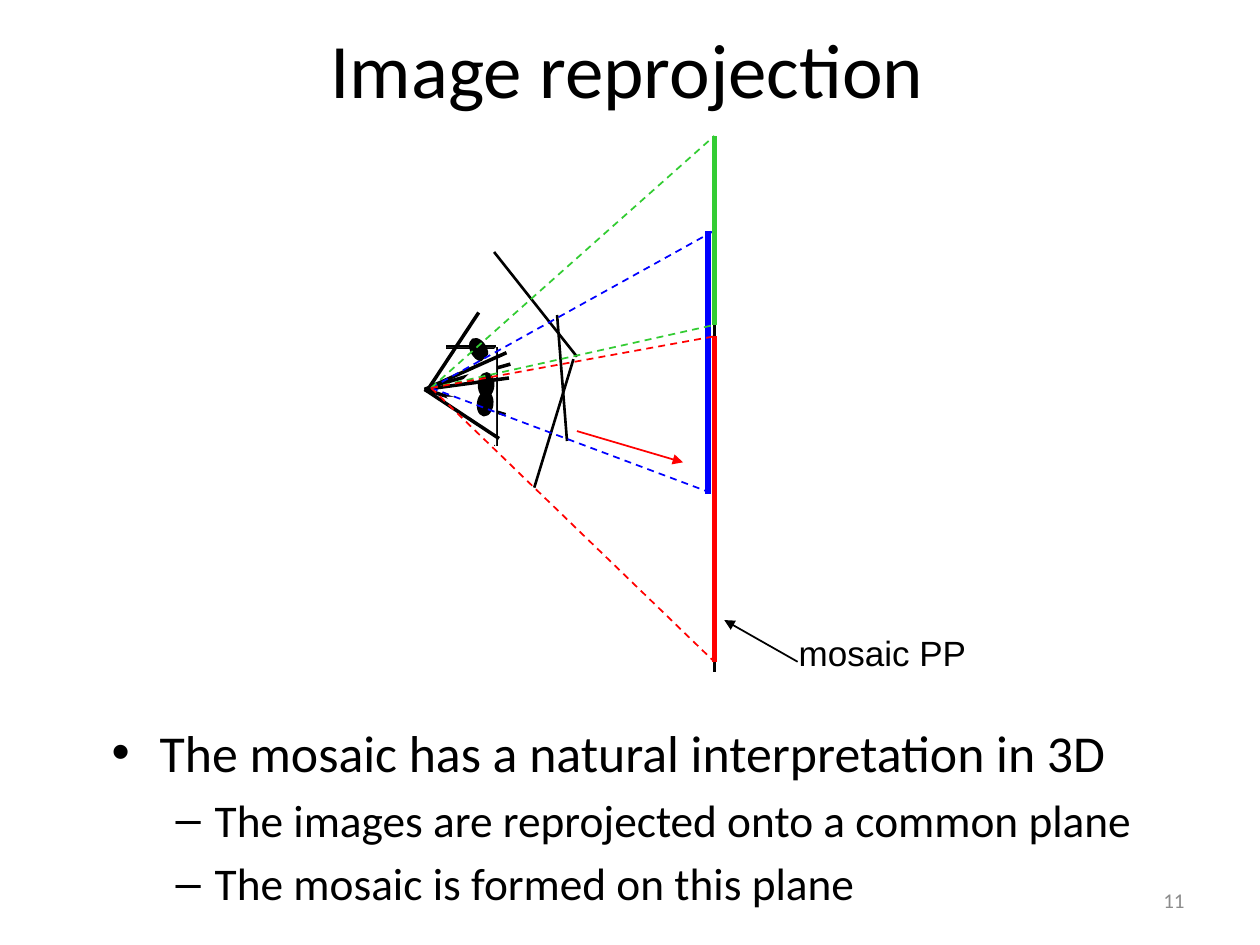
from dataclasses import dataclass

from lxml.etree import SubElement
from pptx import Presentation
from pptx.dml.color import RGBColor as RGB
from pptx.enum.dml import MSO_LINE as Dash
from pptx.enum.shapes import MSO_CONNECTOR as Connector, MSO_SHAPE as Shape
from pptx.enum.text import MSO_ANCHOR as Anchor, PP_ALIGN as Align
from pptx.oxml.ns import qn
from pptx.util import Cm, Pt


@dataclass(frozen=True)
class Theme:
    black: RGB = RGB(0, 0, 0)
    white: RGB = RGB(255, 255, 255)
    gray: RGB = RGB(0x8C, 0x8C, 0x8C)
    blue: RGB = RGB(0, 0, 255)
    green: RGB = RGB(0x33, 0xCC, 0x33)
    red: RGB = RGB(255, 0, 0)
    font: str = "Calibri"
    label_font: str = "Arial"
    title_size: float = 44
    body_sizes: tuple = (29.6, 25.9)
    label_size: float = 20
    number_size: float = 12
    thin: float = 1
    medium: float = 1.5
    heavy: float = 2
    band: float = 3


THEME = Theme()

# All positions below are in centimetres.
TITLE = "Image reprojection"
POINTS = [
    (0, "The mosaic has a natural interpretation in 3D"),
    (1, "The images are reprojected onto a common plane"),
    (1, "The mosaic is formed on this plane"),
]
BULLETS = [("•", 1.07, 0.97), ("–", 2.18, 0.79)]  # sign, margin, hang
LABEL = "mosaic PP"
PAGE_NUMBER = "11"

PLANE_X, PLANE_TOP, PLANE_BOTTOM = 14.4, 2.74, 13.54
VIEWPOINT = (8.69, 7.82)
LABEL_ARROW = ((16.08, 13.34), (14.6, 12.5))
PROJECTION_ARROW = ((11.63, 8.69), (13.77, 9.32))
PUPIL_WIDTH, PUPIL_HEIGHT = 0.3, 0.48

# The lens is a Bezier curve: start, two controls, end.
CAMERAS = [
    dict(image=((9.96, 5.08), (11.63, 7.19)), apex=(8.66, 7.8), wedge=False,
         lens=((9.4, 6.71), (9.7, 6.78), (9.88, 7.11), (9.8, 7.47)),
         hub=(9.25, 7.34), edges=((9.65, 6.3), (10.29, 7.34)),
         pupil=(9.65, 7.05), turn=330),
    dict(image=((11.23, 6.35), (11.43, 8.89)), apex=(8.56, 7.85), wedge=True,
         lens=((9.78, 7.34), (9.98, 7.57), (9.96, 7.95), (9.7, 8.2)),
         hub=(9.3, 7.8), edges=((10.21, 7.11), (10.19, 8.36)),
         pupil=(9.8, 7.76), turn=3),
    dict(image=((10.77, 9.83), (11.56, 7.24)), apex=(8.56, 7.85), wedge=True,
         lens=((9.68, 8.56), (9.93, 8.38), (9.96, 7.98), (9.75, 7.7)),
         hub=(9.27, 8.03), edges=((10.06, 8.84), (10.26, 7.62)),
         pupil=(9.78, 8.14), turn=187),
]
# Colour, top and bottom on the plane, x of the band
PROJECTIONS = [
    (THEME.blue, 4.65, 9.96, 14.27),
    (THEME.green, PLANE_TOP, 6.55, PLANE_X),
    (THEME.red, 6.78, 13.34, PLANE_X),
]


def add_line(slide, start, end, color, width, dashed=False, arrow=False):
    line = slide.shapes.add_connector(
        Connector.STRAIGHT, *(Cm(v) for v in (*start, *end)))
    line.line.color.rgb = color
    line.line.width = Pt(width)
    if dashed:
        line.line.dash_style = Dash.DASH
    if arrow:
        SubElement(line.line._get_or_add_ln(), qn("a:tailEnd"), type="triangle")
    SubElement(line._element.spPr, qn("a:effectLst"))


def add_outline(slide, points, fill=None, stroke=None):
    """Draw a filled polygon, or an open curve when only a stroke is given."""
    builder = slide.shapes.build_freeform(*points[0], scale=Cm(1))
    builder.add_line_segments(points[1:], close=fill is not None)
    outline = builder.convert_to_shape()
    outline.shadow.inherit = False
    if fill is None:
        outline.fill.background()
        outline.line.color.rgb = stroke
        outline.line.width = Pt(THEME.heavy)
    else:
        outline.fill.solid()
        outline.fill.fore_color.rgb = fill
        outline.line.fill.background()


def curve_points(start, control_1, control_2, end, steps=12):
    points = []
    for step in range(steps + 1):
        t = step / steps
        weights = ((1 - t) ** 3, 3 * t * (1 - t) ** 2, 3 * t * t * (1 - t), t ** 3)
        corners = (start, control_1, control_2, end)
        points.append(tuple(sum(w * c[axis] for w, c in zip(weights, corners))
                            for axis in (0, 1)))
    return points


def add_camera(slide, image, apex, wedge, lens, hub, edges, pupil, turn):
    add_line(slide, *image, THEME.black, THEME.medium)
    arc = curve_points(*lens)
    if wedge:
        add_outline(slide, [apex, *arc], fill=THEME.white)
    add_outline(slide, arc, stroke=THEME.black)
    add_outline(slide, [*arc, hub], fill=THEME.white)
    add_line(slide, edges[0], apex, THEME.black, THEME.heavy)
    eye = slide.shapes.add_shape(
        Shape.OVAL, Cm(pupil[0] - PUPIL_WIDTH / 2), Cm(pupil[1] - PUPIL_HEIGHT / 2),
        Cm(PUPIL_WIDTH), Cm(PUPIL_HEIGHT))
    eye.rotation = turn
    eye.shadow.inherit = False
    eye.fill.solid()
    eye.fill.fore_color.rgb = eye.line.color.rgb = THEME.black
    eye.line.width = Pt(THEME.thin)
    add_line(slide, apex, edges[1], THEME.black, THEME.heavy)


def style(paragraph, size, color=THEME.black, font=THEME.font, align=Align.LEFT):
    paragraph.alignment = align
    paragraph.font.name = font
    paragraph.font.size = Pt(size)
    paragraph.font.color.rgb = color


def add_text(slide, box, text="", anchor=Anchor.TOP, wrap=True, **look):
    frame = slide.shapes.add_textbox(*(Cm(v) for v in box)).text_frame
    frame.word_wrap = wrap
    frame.vertical_anchor = anchor
    if text:
        frame.text = text
        style(frame.paragraphs[0], **look)
    return frame


def add_points(slide):
    frame = add_text(slide, (1.9, 14.4, 21.6, 4.65))
    frame.margin_right = Cm(0.36)
    for index, (level, text) in enumerate(POINTS):
        paragraph = frame.add_paragraph() if index else frame.paragraphs[0]
        paragraph.text = text
        paragraph.level = level
        size = THEME.body_sizes[level]
        style(paragraph, size)
        paragraph.space_before = Pt(round(size * 0.2, 1))
        sign, margin, hang = BULLETS[level]
        props = paragraph._p.get_or_add_pPr()
        props.set("marL", str(Cm(margin)))
        props.set("indent", str(-Cm(hang)))
        bullet_font = props.makeelement(qn("a:buFont"), {"typeface": THEME.label_font})
        bullet = props.makeelement(qn("a:buChar"), {"char": sign})
        props.find(qn("a:defRPr")).addprevious(bullet_font)
        bullet_font.addnext(bullet)


def main():
    deck = Presentation()
    deck.slide_width, deck.slide_height = Cm(25.4), Cm(19.05)
    slide = deck.slides.add_slide(deck.slide_layouts[6])

    add_line(slide, (PLANE_X, PLANE_TOP), (PLANE_X, PLANE_BOTTOM),
             THEME.black, THEME.medium)
    label = add_text(slide, (16, 12.73, 3.81, 1.07), LABEL, wrap=False,
                     size=THEME.label_size, font=THEME.label_font)
    label.margin_left = label.margin_top = label.margin_bottom = 0
    label.margin_left = label.margin_right = Cm(0.1)
    add_line(slide, *LABEL_ARROW, THEME.black, THEME.thin, arrow=True)

    title = add_text(slide, (1.9, 0, 21.6, 2.74), TITLE, Anchor.MIDDLE,
                     size=THEME.title_size, align=Align.CENTER)
    title.margin_right = Cm(0.36)
    add_points(slide)

    for camera in CAMERAS:
        add_camera(slide, **camera)
    for color, top, bottom, band_x in PROJECTIONS:
        for y in (top, bottom):
            add_line(slide, VIEWPOINT, (PLANE_X, y), color, THEME.thin, dashed=True)
        add_line(slide, (band_x, top), (band_x, bottom), color, THEME.band)
    add_line(slide, *PROJECTION_ARROW, THEME.red, THEME.thin, arrow=True)

    add_text(slide, (18.2, 17.65, 5.93, 1.01), PAGE_NUMBER, Anchor.MIDDLE,
             size=THEME.number_size, color=THEME.gray, align=Align.RIGHT)
    deck.save("out.pptx")


if __name__ == "__main__":
    main()
